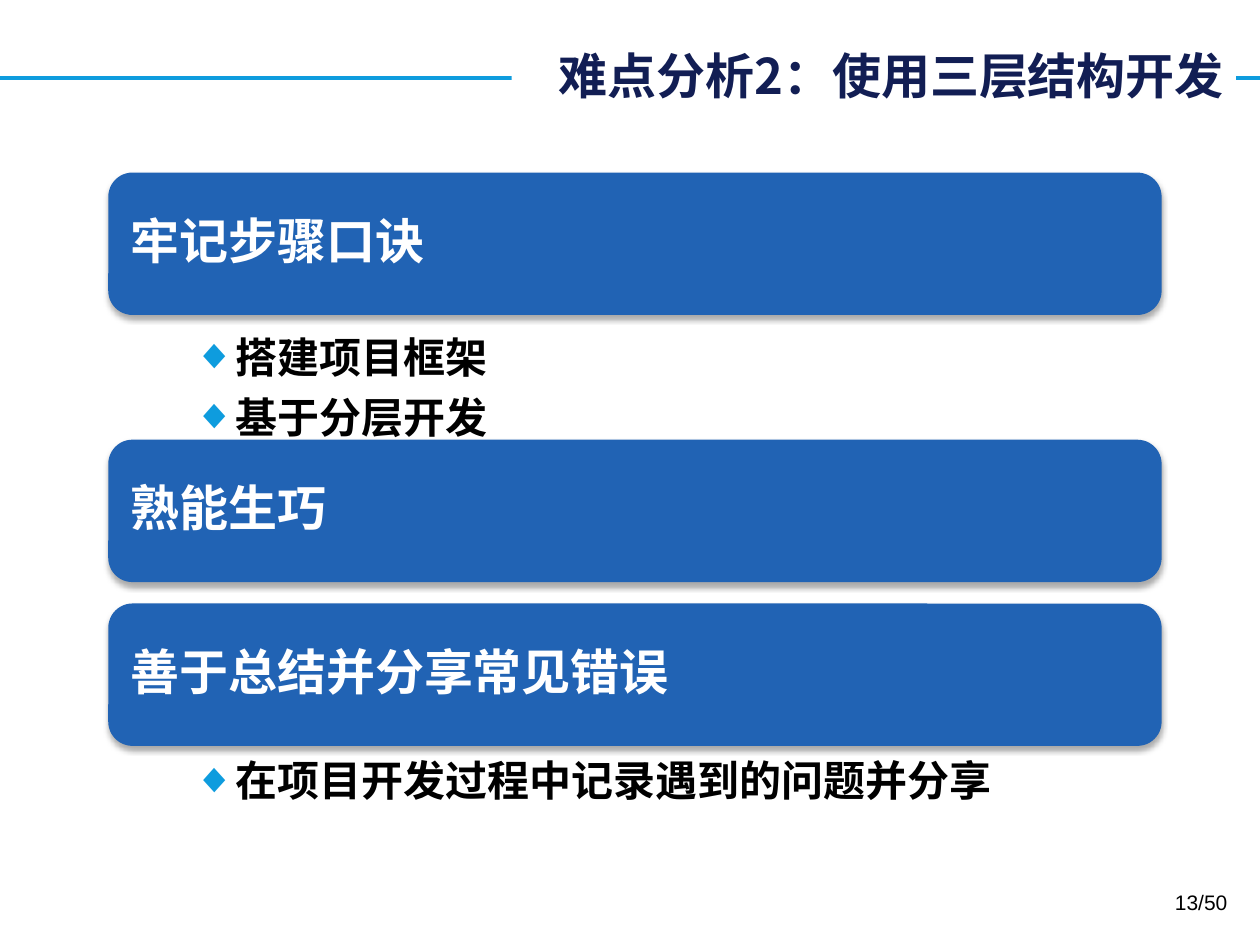
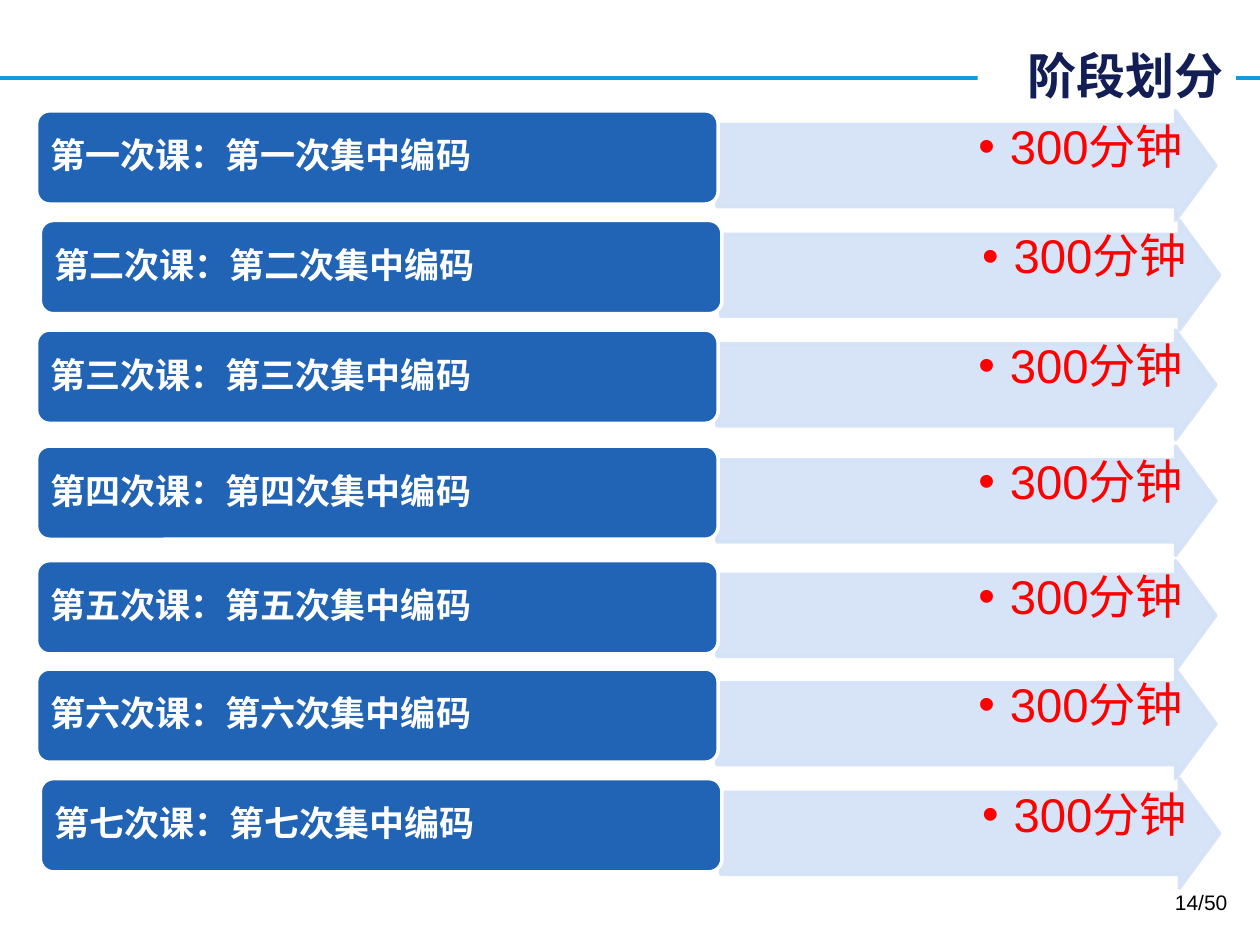
from dataclasses import dataclass

from lxml.etree import SubElement
from pptx import Presentation
from pptx.dml.color import RGBColor
from pptx.enum.lang import MSO_LANGUAGE_ID as Language
from pptx.enum.shapes import MSO_CONNECTOR as Connector, MSO_SHAPE as Shape
from pptx.enum.text import MSO_ANCHOR as Anchor, PP_ALIGN as Align
from pptx.oxml.ns import qn
from pptx.util import Inches, Pt


@dataclass(frozen=True)
class Theme:
    accent: str = "0E9CDE"
    blue: str = "2163B4"
    pale: str = "D3E2F7"
    navy: str = "121E54"
    red: str = "FF0000"
    black: str = "000000"
    white: str = "FFFFFF"
    body_font: str = "Arial"
    title_font: str = "Noto Sans CJK SC"
    heading_size: float = 28
    arrow_size: float = 27
    bullet_size: float = 24
    label_size: float = 20
    number_size: float = 12


class Deck:
    """Holds the theme and the current slide; lengths are grid columns and rows."""

    COLUMNS, ROWS = 100, 75
    PAGES = 50

    def __init__(self, theme):
        self.theme = theme
        self.presentation = Presentation()
        self.presentation.slide_width = Inches(10)
        self.presentation.slide_height = Inches(7.5)
        self.column = self.presentation.slide_width / self.COLUMNS
        self.row = self.presentation.slide_height / self.ROWS
        self.slide = None

    def box(self, left, top, width, height):
        return (round(left * self.column), round(top * self.row),
                round(width * self.column), round(height * self.row))

    # Formatting shared by all elements
    def paint(self, shape, fill, line=None, width=2):
        shape.fill.solid()
        shape.fill.fore_color.rgb = RGBColor.from_string(fill)
        if line:
            shape.line.color.rgb = RGBColor.from_string(line)
            shape.line.width = Pt(width)
        else:
            shape.line.fill.background()
        shape.shadow.inherit = False

    def set_text(self, shape, text, size, color, font=None, bold=False,
                 align=Align.LEFT, anchor=Anchor.TOP, insets=(1, 0.5, 1, 0.5),
                 line_spacing=None):
        frame = shape.text_frame
        frame.word_wrap = True
        frame.vertical_anchor = anchor
        left, top, right, bottom = insets
        frame.margin_left = round(left * self.column)
        frame.margin_right = round(right * self.column)
        frame.margin_top = round(top * self.row)
        frame.margin_bottom = round(bottom * self.row)
        frame.text = text
        for paragraph in frame.paragraphs:
            paragraph.alignment = align
            if line_spacing:
                paragraph.line_spacing = line_spacing
            for run in paragraph.runs:
                run.font.name = font or self.theme.body_font
                run.font.size = Pt(size)
                run.font.bold = bold
                run.font.color.rgb = RGBColor.from_string(color)
                run.font.language_id = Language.SIMPLIFIED_CHINESE
                properties = run._r.get_or_add_rPr()
                SubElement(properties, qn("a:ea"), typeface=run.font.name)
        return frame.paragraphs

    def bullet(self, paragraph, mark, margin, hanging, color=None):
        properties = paragraph._p.get_or_add_pPr()
        properties.set("marL", str(round(margin * self.column)))
        properties.set("indent", str(round(-hanging * self.column)))
        if color:
            bullet_color = SubElement(properties, qn("a:buClr"))
            SubElement(bullet_color, qn("a:srgbClr"), val=color)
        SubElement(properties, qn("a:buFont"), typeface=self.theme.body_font)
        SubElement(properties, qn("a:buChar"), char=mark)

    def soft_shadow(self, shape):
        effects = shape._element.spPr.find(qn("a:effectLst"))
        shadow = SubElement(effects, qn("a:outerShdw"), blurRad=str(int(Pt(3.5))),
                            dist=str(int(Pt(2.2))), dir="5400000", rotWithShape="0")
        color = SubElement(shadow, qn("a:srgbClr"), val=self.theme.black)
        SubElement(color, qn("a:alpha"), val="32000")

    def text_box(self, box, text, size, color, **style):
        shape = self.slide.shapes.add_textbox(*self.box(*box))
        return shape, self.set_text(shape, text, size, color, **style)

    # Slide frame: rule, title, page number
    def start_slide(self, title, title_left, number):
        theme = self.theme
        blank = self.presentation.slide_layouts[6]
        self.slide = self.presentation.slides.add_slide(blank)
        left, top, right, _ = self.box(0, 6.2, self.COLUMNS, 0)
        rule = self.slide.shapes.add_connector(
            Connector.STRAIGHT, left, top, right, top)
        rule.line.color.rgb = RGBColor.from_string(theme.accent)
        rule.line.width = Pt(2.25)
        SubElement(rule._element.spPr, qn("a:effectLst"))
        shape, _ = self.text_box(
            (title_left, 3.1, 98.1 - title_left, 5.7), title,
            theme.heading_size, theme.navy, font=theme.title_font,
            bold=True, align=Align.RIGHT, anchor=Anchor.MIDDLE)
        self.paint(shape, theme.white)
        self.text_box((75.1, 70.1, 23.3, 4), f"{number}/{self.PAGES}",
                      theme.number_size, theme.black, align=Align.RIGHT)

    # Content elements
    def rounded(self, box, text, size, radius, insets, line=None):
        shape = self.slide.shapes.add_shape(Shape.ROUNDED_RECTANGLE, *self.box(*box))
        shape.adjustments[0] = radius
        self.paint(shape, self.theme.blue, line)
        self.set_text(shape, text, size, self.theme.white, bold=True,
                      anchor=Anchor.MIDDLE, insets=insets, line_spacing=0.9)
        return shape

    def banner(self, top, text):
        shape = self.rounded((8.6, top, 83.6, 11.3), text, self.theme.heading_size,
                             0.17, (1.2, 1.2, 1.2, 1.2))
        self.soft_shadow(shape)

    def bullets(self, top, height, lines):
        _, paragraphs = self.text_box(
            (9.4, top, 86.7, height), "\n".join(lines),
            self.theme.bullet_size, self.theme.black, bold=True)
        for paragraph in paragraphs:
            paragraph.space_before = Pt(5.5)
            self.bullet(paragraph, "◆", 8.1, 3.1, self.theme.accent)

    def label(self, left, top, text):
        self.rounded((left, top, 54.1, 7.4), text, self.theme.label_size,
                     0.14, (0.8, 0.4, 0.8, 0.4), self.theme.white)

    def arrow(self, left, top, text):
        neck, tip, height, notch = left + 36.4, left + 39.6, 8.7, 1.1
        bottom = top + height
        outline = [(left, top + notch), (neck, top + notch), (neck, top),
                   (tip, top + height / 2), (neck, bottom),
                   (neck, bottom - notch), (left, bottom - notch)]
        points = [self.box(x, y, 0, 0)[:2] for x, y in outline]
        builder = self.slide.shapes.build_freeform(*points[0])
        builder.add_line_segments(points[1:], close=True)
        shape = builder.convert_to_shape()
        self.paint(shape, self.theme.pale, self.theme.pale)
        for color in shape._element.spPr.iter(qn("a:srgbClr")):
            SubElement(color, qn("a:alpha"), val="90000")
        paragraphs = self.set_text(
            shape, text, self.theme.arrow_size, self.theme.red,
            align=Align.RIGHT, insets=(0.2, 1, 2.6, 1), line_spacing=0.9)
        self.bullet(paragraphs[0], "•", 2.5, 2.5)


def build_difficulties(deck):
    deck.start_slide("难点分析2：使用三层结构开发", 40.6, 13)
    for top, text in ((13.7, "牢记步骤口诀"), (34.9, "熟能生巧"),
                      (47.9, "善于总结并分享常见错误")):
        deck.banner(top, text)
    deck.bullets(25.8, 12, ["搭建项目框架", "基于分层开发"])
    deck.bullets(59.4, 7.3, ["在项目开发过程中记录遇到的问题并分享"])


def build_stages(deck):
    deck.start_slide("阶段划分", 77.6, 14)
    tops = (8.8, 17.5, 26.2, 35.4, 44.5, 53.1, 61.8)
    shifted = "二七"
    lessons = list(zip("一二三四五六七", tops))
    for ordinal, top in reversed(lessons):
        left = 3.2 if ordinal in shifted else 2.9
        deck.arrow(left + 54, top, "300分钟")
        deck.label(left, top, f"第{ordinal}次课：第{ordinal}次集中编码")


def main():
    deck = Deck(Theme())
    build_difficulties(deck)
    build_stages(deck)
    deck.presentation.save("out.pptx")


if __name__ == "__main__":
    main()
